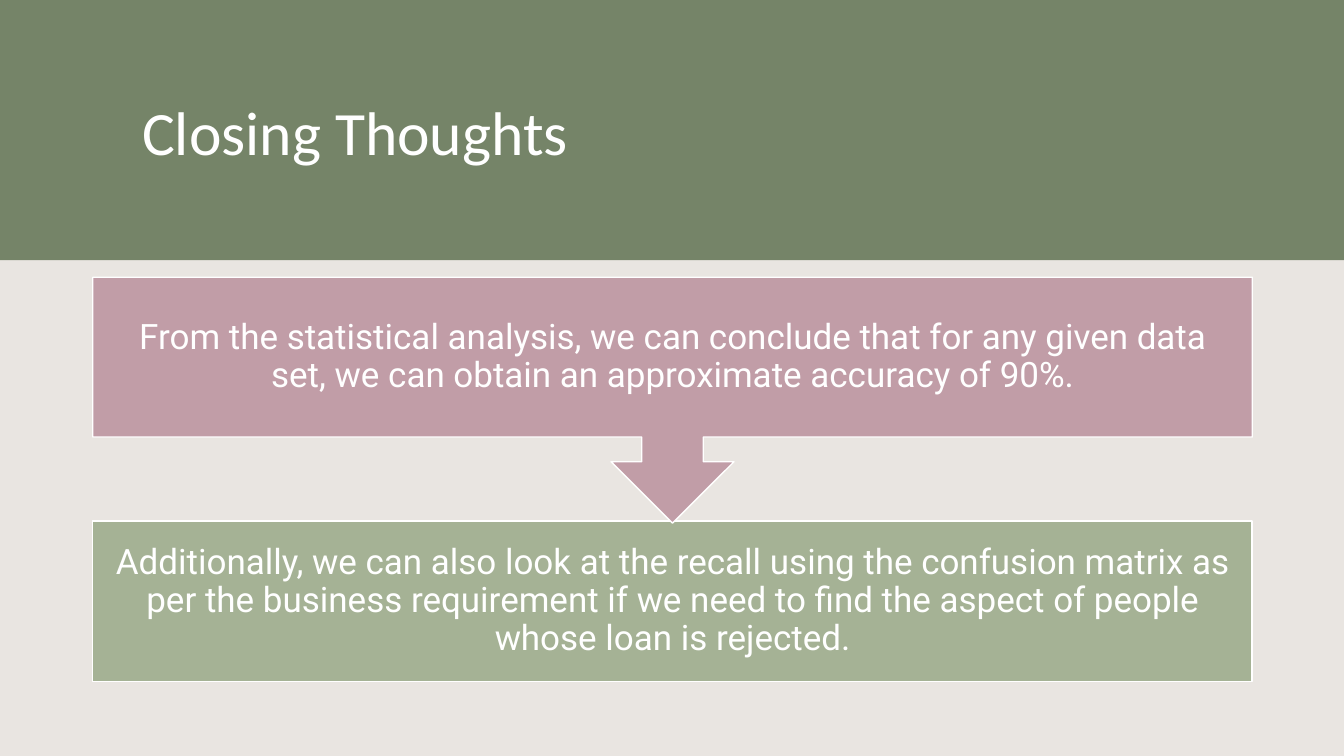
from dataclasses import dataclass

from pptx import Presentation
from pptx.dml.color import RGBColor
from pptx.enum.shapes import MSO_SHAPE
from pptx.enum.text import MSO_ANCHOR, MSO_AUTO_SIZE, PP_ALIGN
from pptx.shapes.autoshape import Shape
from pptx.slide import Slide
from pptx.text.text import TextFrame
from pptx.util import Inches, Pt

RECT = MSO_SHAPE.RECTANGLE
CALLOUT = MSO_SHAPE.UP_ARROW_CALLOUT
MIDDLE = MSO_ANCHOR.MIDDLE
NO_FIT = MSO_AUTO_SIZE.NONE
LEFT, CENTER = PP_ALIGN.LEFT, PP_ALIGN.CENTER
TITLE_ONLY = 5


@dataclass(frozen=True)
class Theme:
    back: str = "E9E5E1"
    band: str = "758468"
    rose: str = "C19DA7"
    sage: str = "A5B295"
    white: str = "FFFFFF"
    head_font: str = "Calibri"
    body_font: str = "Roboto"
    head_size: int = 44
    body_size: int = 25


@dataclass(frozen=True)
class Step:
    text: str
    top: float
    height: float
    kind: MSO_SHAPE
    fill: str
    turn: int = 0


THEME = Theme()
WIDTH, HEIGHT = 13.33, 7.5
BAND_HEIGHT = 2.58
STEP_LEFT, STEP_WIDTH = 0.92, 11.5
TEXT_HEIGHT = 1.59
INSET = 0.19

# The callout comes last so that its arrow tip lies over the box below.
STEPS = [
    Step("Additionally, we can also look at the recall using the confusion "
         "matrix as per the business requirement if we need to find the "
         "aspect of people whose loan is rejected.",
         5.17, TEXT_HEIGHT, RECT, THEME.sage),
    Step("From the statistical analysis, we can conclude that for any given "
         "data set, we can obtain an approximate accuracy of 90%.",
         2.75, 2.44, CALLOUT, THEME.rose, turn=180),
]


def color(code: str) -> RGBColor:
    return RGBColor.from_string(code)


def write(frame: TextFrame, text: str, *, font: str, size: int,
          align: PP_ALIGN, spacing: float = 1.0) -> None:
    frame.word_wrap = True
    frame.auto_size = NO_FIT
    frame.vertical_anchor = MIDDLE
    para = frame.paragraphs[0]
    para.alignment = align
    para.line_spacing = spacing
    run = para.add_run()
    run.text = text
    run.font.name = font
    run.font.size = Pt(size)
    run.font.color.rgb = color(THEME.white)


def add_block(slide: Slide, kind: MSO_SHAPE, left: float, top: float,
              width: float, height: float, fill: str,
              line: str | None = None) -> Shape:
    block = slide.shapes.add_shape(
        kind, Inches(left), Inches(top), Inches(width), Inches(height))
    block.shadow.inherit = False
    block.fill.solid()
    block.fill.fore_color.rgb = color(fill)
    if line:
        block.line.color.rgb = color(line)
        block.line.width = Pt(1)
    else:
        block.line.fill.background()
    return block


def add_head(slide: Slide, text: str) -> None:
    """Draw the top band and set the title over it."""
    title = slide.shapes.title
    band = add_block(slide, RECT, 0, 0, WIDTH, BAND_HEIGHT, THEME.band)
    title.element.addprevious(band.element)
    title.left, title.top = Inches(1.31), Inches(0.42)
    title.width, title.height = Inches(10.94), Inches(1.75)
    write(title.text_frame, text, font=THEME.head_font,
          size=THEME.head_size, align=LEFT)


def add_step(slide: Slide, step: Step) -> None:
    """Draw a step's block and, upright over its body, its text."""
    block = add_block(slide, step.kind, STEP_LEFT, step.top, STEP_WIDTH,
                      step.height, step.fill, THEME.white)
    block.rotation = step.turn
    box = slide.shapes.add_textbox(
        Inches(STEP_LEFT), Inches(step.top),
        Inches(STEP_WIDTH), Inches(TEXT_HEIGHT))
    frame = box.text_frame
    frame.margin_left = frame.margin_right = Inches(INSET)
    frame.margin_top = frame.margin_bottom = Inches(INSET)
    write(frame, step.text, font=THEME.body_font, size=THEME.body_size,
          align=CENTER, spacing=0.9)


def main() -> None:
    deck = Presentation()
    deck.slide_width, deck.slide_height = Inches(WIDTH), Inches(HEIGHT)
    slide = deck.slides.add_slide(deck.slide_layouts[TITLE_ONLY])
    slide.background.fill.solid()
    slide.background.fill.fore_color.rgb = color(THEME.back)
    add_head(slide, "Closing Thoughts")
    for step in STEPS:
        add_step(slide, step)
    deck.save("out.pptx")


if __name__ == "__main__":
    main()
